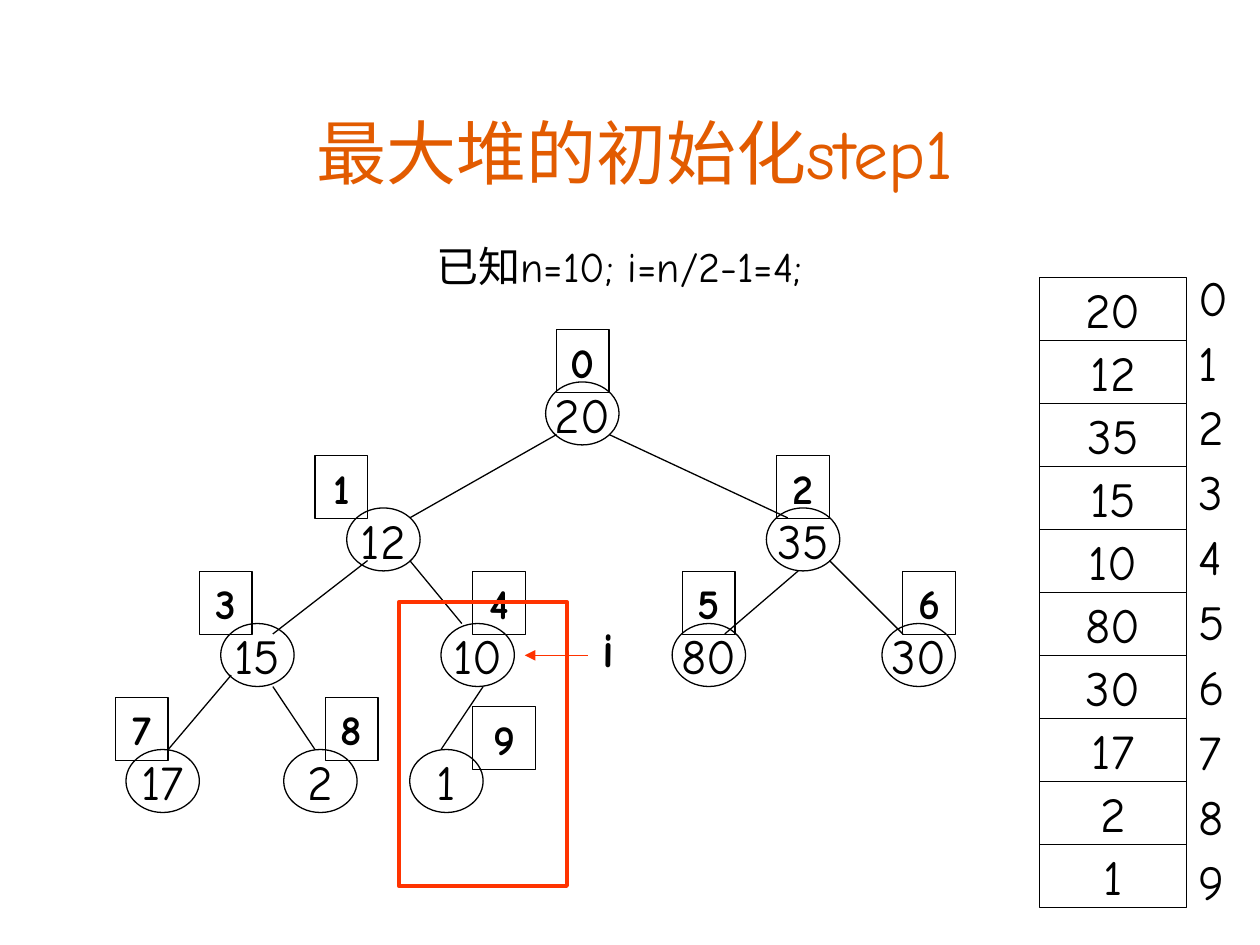
from typing import NamedTuple

import pptx
import pptx.dml.color
import pptx.enum.shapes
import pptx.enum.text
import pptx.oxml
import pptx.oxml.ns
import pptx.util
from pptx.util import Cm

COLORS = {"ink": "000000", "title": "E25B00", "accent": "FF3300"}
LATIN_FONT = "Comic Neue"
CHINESE_FONT = "Noto Sans CJK SC"
SHAPES = pptx.enum.shapes.MSO_SHAPE
ANCHORS = pptx.enum.text.MSO_ANCHOR

NODE_WIDTH, CELL_HEIGHT = 1.48, 1.27
LEVEL_TOPS = (7.70, 10.24, 12.57, 15.11)
ARRAY_LEFT, ARRAY_TOP, ARRAY_WIDTH = 20.96, 5.59, 2.96


class Node(NamedTuple):
    """A heap entry; lengths are in centimetres."""
    value: int
    level: int
    left: float
    tag_left: float
    tag_width: float = 1.06
    tag_rise: float = 1.05


class Edge(NamedTuple):
    x1: float
    y1: float
    x2: float
    y2: float


NODES = (
    Node(20, 0, 11.00, 11.22),
    Node(12, 1, 6.99, 6.35),
    Node(35, 1, 15.45, 15.66),
    Node(15, 2, 4.45, 4.02),
    Node(10, 2, 8.89, 9.53),
    Node(80, 2, 13.55, 13.76),
    Node(30, 2, 17.78, 18.20),
    Node(17, 3, 2.54, 2.33),
    Node(2, 3, 5.72, 6.56),
    Node(1, 3, 8.26, 9.53, tag_width=1.27, tag_rise=0.86),
)

EDGES = (
    Edge(11.22, 8.76, 8.26, 10.44),
    Edge(12.28, 8.76, 15.88, 10.44),
    Edge(7.41, 11.30, 5.50, 12.78),
    Edge(8.26, 11.30, 9.31, 12.57),
    Edge(16.09, 11.51, 14.61, 12.78),
    Edge(16.72, 11.30, 18.20, 12.78),
    Edge(4.66, 13.61, 3.39, 15.11),
    Edge(5.50, 13.84, 6.35, 15.11),
    Edge(9.74, 13.84, 8.89, 15.11),
)


def rgb(name: str) -> pptx.dml.color.RGBColor:
    return pptx.dml.color.RGBColor.from_string(COLORS[name])


def write_text(shape, text: str, *, size: float, color: str = "ink", bold: bool = False,
               anchor=ANCHORS.TOP, wrap: bool = True, gap: float = 0) -> None:
    """Write one centred paragraph per line of text, with gap points between them."""
    frame = shape.text_frame
    frame.word_wrap = wrap
    frame.vertical_anchor = anchor
    for index, line in enumerate(text.split("\n")):
        para = frame.paragraphs[0] if index == 0 else frame.add_paragraph()
        para.alignment = pptx.enum.text.PP_ALIGN.CENTER
        para.space_before = pptx.util.Pt(gap if index else 0)
        span = para.add_run()
        span.text = line
        span.font.size = pptx.util.Pt(size)
        span.font.bold = bold
        span.font.name = LATIN_FONT
        span.font.color.rgb = rgb(color)
        east_asian = pptx.oxml.parse_xml(
            f'<a:ea {pptx.oxml.ns.nsdecls("a")} typeface="{CHINESE_FONT}"/>')
        span.font._element.find(pptx.oxml.ns.qn("a:latin")).addnext(east_asian)


def add_text(page, left: float, top: float, width: float, height: float,
             text: str, **text_format) -> None:
    box = page.shapes.add_textbox(Cm(left), Cm(top), Cm(width), Cm(height))
    write_text(box, text, **text_format)


def add_outline(page, kind, left: float, top: float, width: float, height: float,
                color: str = "ink", weight: float = 0.75):
    shape = page.shapes.add_shape(kind, Cm(left), Cm(top), Cm(width), Cm(height))
    shape.shadow.inherit = False
    shape.fill.background()
    shape.line.color.rgb = rgb(color)
    shape.line.width = pptx.util.Pt(weight)
    return shape


def add_line(page, edge: Edge, color: str = "ink", arrow: bool = False) -> None:
    line = page.shapes.add_connector(
        pptx.enum.shapes.MSO_CONNECTOR.STRAIGHT, *(Cm(value) for value in edge))
    line.line.color.rgb = rgb(color)
    line.line.width = pptx.util.Pt(0.75)
    namespace = pptx.oxml.ns.nsdecls("a")
    if arrow:
        line.line._get_or_add_ln().append(
            pptx.oxml.parse_xml(f'<a:tailEnd {namespace} type="triangle"/>'))
    line._element.spPr.append(pptx.oxml.parse_xml(f"<a:effectLst {namespace}/>"))


def add_tree(page) -> None:
    for node in NODES:
        circle = add_outline(page, SHAPES.FLOWCHART_CONNECTOR, node.left,
                             LEVEL_TOPS[node.level], NODE_WIDTH, CELL_HEIGHT)
        write_text(circle, str(node.value), size=28, anchor=ANCHORS.MIDDLE, wrap=False)
    for edge in EDGES:
        add_line(page, edge)
    for index, node in enumerate(NODES):
        tag = add_outline(page, SHAPES.RECTANGLE, node.tag_left,
                          LEVEL_TOPS[node.level] - node.tag_rise, node.tag_width, CELL_HEIGHT)
        write_text(tag, str(index), size=24, bold=True)


def add_current_marker(page) -> None:
    """Point at the entry being sifted and frame its subtree."""
    add_text(page, 11.64, 12.34, 1.27, 1.45, "i", size=28, bold=True)
    add_line(page, Edge(11.85, 13.21, 10.58, 13.21), color="accent", arrow=True)
    add_outline(page, SHAPES.RECTANGLE, 8.04, 12.14, 3.39, 5.72, color="accent", weight=2.25)


def add_array(page) -> None:
    for index, node in enumerate(NODES):
        cell = add_outline(page, SHAPES.FLOWCHART_PROCESS, ARRAY_LEFT,
                           ARRAY_TOP + index * CELL_HEIGHT, ARRAY_WIDTH, CELL_HEIGHT)
        write_text(cell, str(node.value), size=28, anchor=ANCHORS.MIDDLE, wrap=False)
    indices = "\n".join(str(index) for index in range(len(NODES)))
    add_text(page, 23.92, 5.26, 0.89, 13.23, indices, size=28, gap=3.5)


def main() -> None:
    deck = pptx.Presentation()
    deck.slide_width, deck.slide_height = Cm(25.4), Cm(19.05)
    page = deck.slides.add_slide(deck.slide_layouts[6])
    add_text(page, 1.91, 1.91, 21.79, 2.11, "最大堆的初始化step1",
             size=40, color="title", anchor=ANCHORS.BOTTOM)
    add_text(page, 1.27, 4.72, 22.43, 1.27, "已知n=10; i=n/2-1=4;", size=24)
    add_tree(page)
    add_current_marker(page)
    add_array(page)
    deck.save("out.pptx")


if __name__ == "__main__":
    main()
